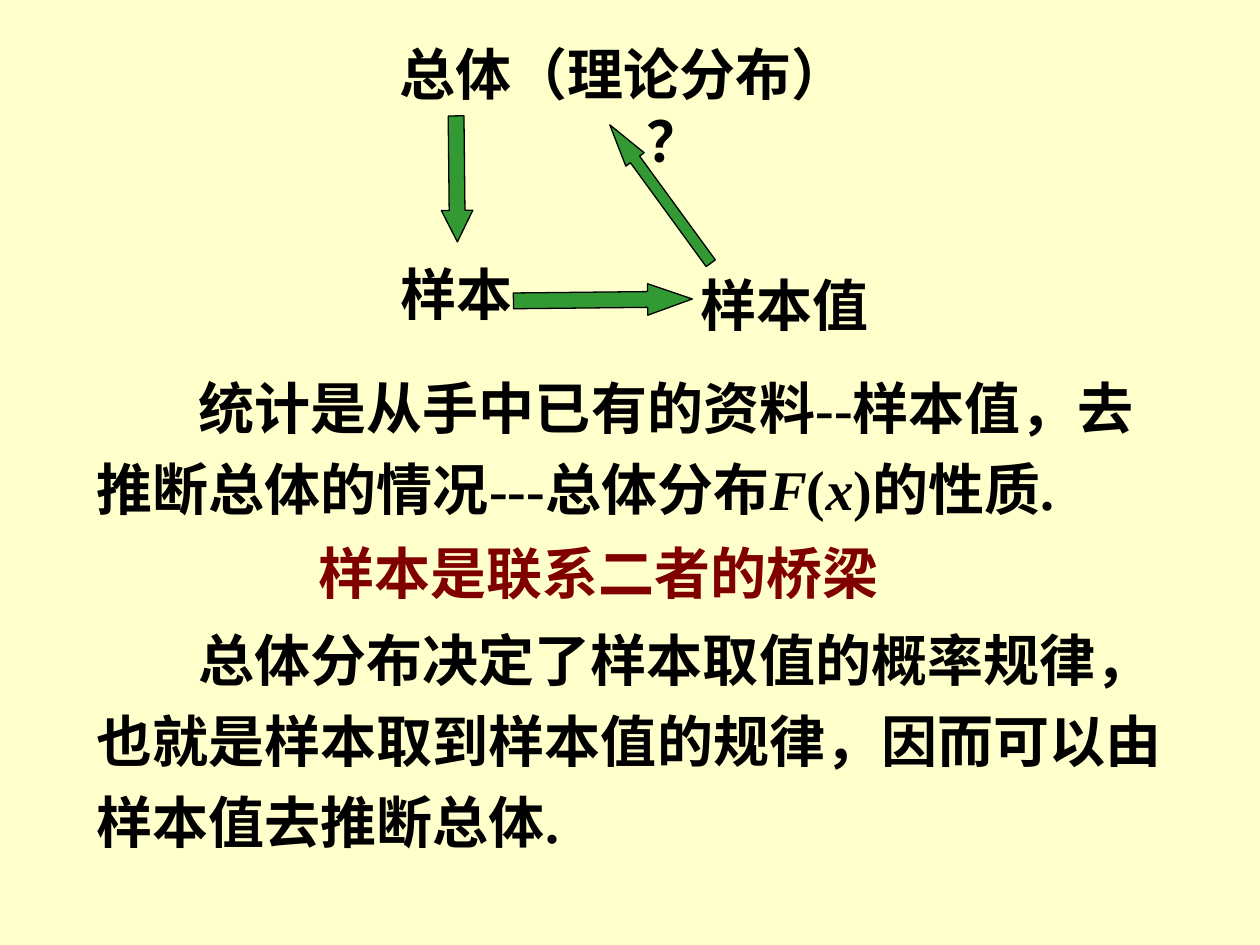
from pptx import Presentation
from pptx.dml.color import RGBColor
from pptx.enum.shapes import MSO_SHAPE
from pptx.enum.text import MSO_ANCHOR, MSO_AUTO_SIZE, PP_ALIGN
from pptx.util import Inches, Pt

COLS, ROWS = 100, 75
BLACK, RED, GREEN, CREAM = "000000", "800000", "339933", "FFFFCC"


def paint(fill, tint):
    fill.solid()
    fill.fore_color.rgb = RGBColor.from_string(tint)


def apply(target, values):
    for key, value in values.items():
        setattr(target, key, value)


class Board:
    """Text style and current slide, laid out on a grid of COLS by ROWS."""

    font = {"name": "Times New Roman", "size": Pt(32), "bold": True}
    frame = {"vertical_anchor": MSO_ANCHOR.MIDDLE,
             "auto_size": MSO_AUTO_SIZE.SHAPE_TO_FIT_TEXT}

    def __init__(self, deck):
        self.wide, self.high = deck.slide_width, deck.slide_height
        self.slide = deck.slides.add_slide(deck.slide_layouts[6])
        paint(self.slide.background.fill, CREAM)

    def place(self, x, y, w, h):
        col, row = self.wide / COLS, self.high / ROWS
        return [round(v) for v in (x * col, y * row, w * col, h * row)]

    def add_runs(self, para, runs, tint):
        """Add (text, italic) runs to a paragraph."""
        for text, slant in runs:
            run = para.add_run()
            run.text = text
            apply(run.font, {**self.font, "italic": slant})
            paint(run.font.fill, tint)

    def box(self, spot, wrap):
        frame = self.slide.shapes.add_textbox(*self.place(*spot)).text_frame
        apply(frame, {**self.frame, "word_wrap": wrap})
        return frame

    def label(self, spot, lines, tint=BLACK):
        """Centred lines, each a text and its left margin in inches."""
        frame = self.box(spot, False)
        for i, (text, inset) in enumerate(lines):
            para = frame.add_paragraph() if i else frame.paragraphs[0]
            para.alignment = PP_ALIGN.CENTER
            if inset:
                para._p.get_or_add_pPr().set("marL", str(Inches(inset)))
            self.add_runs(para, [(text, False)], tint)

    def prose(self, spot, runs):
        """A wrapped paragraph with a first-line indent."""
        para = self.box(spot, True).paragraphs[0]
        para.line_spacing = 1.2
        para._p.get_or_add_pPr().set("indent", str(Inches(0.81)))
        self.add_runs(para, runs, BLACK)

    def arrow(self, spot, turn):
        """A down arrow turned clockwise; its head is a quarter of its length."""
        shape = self.slide.shapes.add_shape(MSO_SHAPE.DOWN_ARROW, *self.place(*spot))
        shape.rotation = turn
        shape.adjustments[0] = 0.5
        shape.adjustments[1] = spot[3] / spot[2] / 4
        shape.shadow.inherit = False
        paint(shape.fill, GREEN)
        paint(shape.line.fill, BLACK)
        shape.line.width = Pt(0.75)


def main():
    deck = Presentation()
    deck.slide_width, deck.slide_height = Inches(10), Inches(7.5)
    board = Board(deck)

    board.label((30.7, 2.6, 37.6, 11.7), [("总体（理论分布）", 0), ("？", 0.8)])
    board.label((30.8, 20.1, 10.9, 6.4), [("样本", 0)])
    board.label((53.5, 20.9, 16.5, 6.4), [("样本值", 0.11)])

    for spot, turn in (((46.6, 16.7, 2.5, 14.2), 269.4),
                       ((35, 9.2, 2.5, 10), 359.4),
                       ((51.5, 8.6, 1.8, 13.6), 143.9)):
        board.arrow(spot, turn)

    board.prose((6.7, 24.9, 87.2, 20.2), [
        ("统计是从手中已有的资料--样本值，去推断总体的情况---总体分布", False),
        ("F", True), ("(", False), ("x", True), (")的性质.", False)])
    board.prose((6.7, 48.1, 90, 20.2), [
        ("总体分布决定了样本取值的概率规律，也就是样本取到样本值的规律，"
         "因而可以由样本值去推断总体.", False)])
    board.label((24.3, 42.2, 46.5, 6.4), [("样本是联系二者的桥梁", 0)], RED)

    deck.save("out.pptx")


if __name__ == "__main__":
    main()
